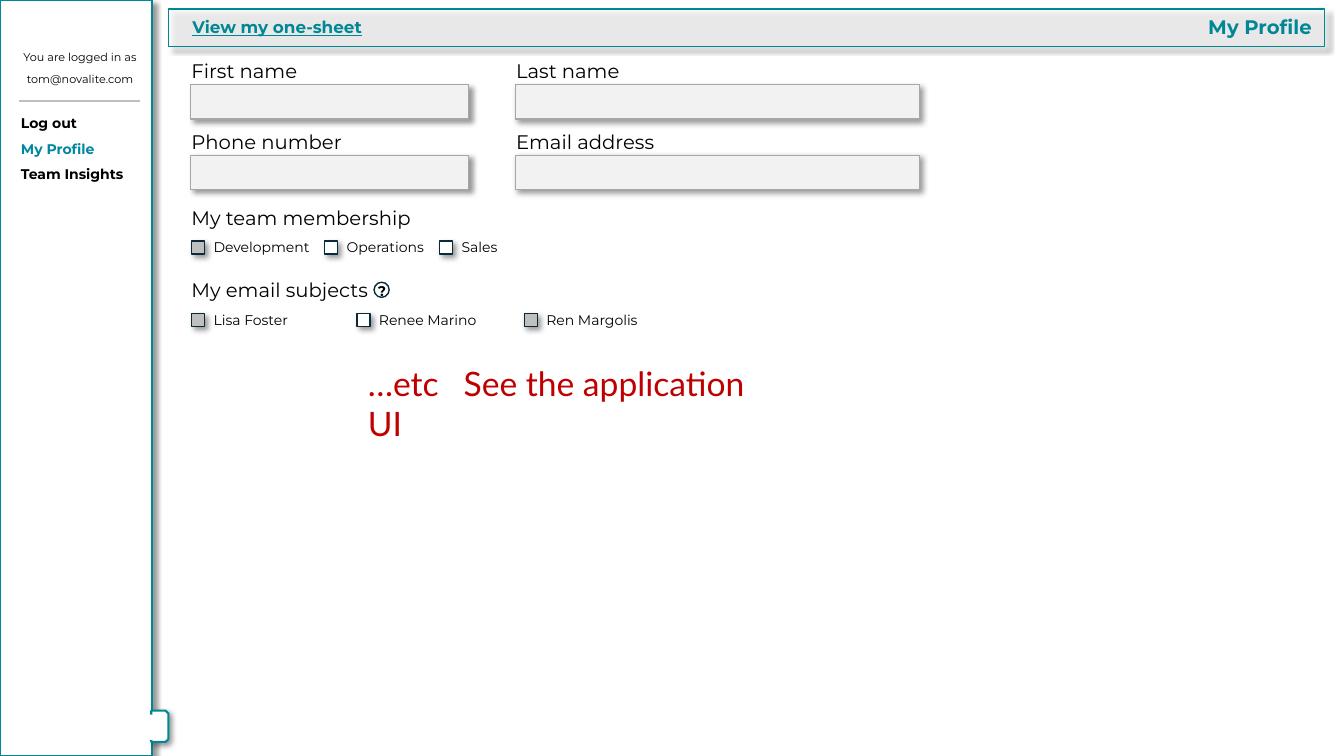
from dataclasses import dataclass

from lxml.etree import SubElement
from pptx import Presentation
from pptx.dml.color import RGBColor
from pptx.enum.shapes import MSO_CONNECTOR, MSO_SHAPE
from pptx.enum.text import MSO_ANCHOR, MSO_AUTO_SIZE, PP_ALIGN
from pptx.oxml.ns import qn
from pptx.util import Inches, Pt

TEAL, NAVY, BLACK, WHITE = "008796", "092A39", "000000", "FFFFFF"
PALE, GREY = "F2F2F2", "BFBFBF"
FONT = "Montserrat"


@dataclass
class Field:
    label: str
    column: int
    row: int


@dataclass
class Check:
    label: str
    x: float
    width: float
    ticked: bool = False


@dataclass
class CheckGroup:
    heading: str
    y: float
    width: float
    checks: list[Check]


COLUMNS = [(1.89, 2.76), (5.11, 4.01)]  # left and width of the fields
FIELDS = [
    Field("First name", 0, 0),
    Field("Last name", 1, 0),
    Field("Phone number", 0, 1),
    Field("Email address", 1, 1),
]
CHECK_GROUPS = [
    CheckGroup("My team membership", 1.99, 2.4, [
        Check("Development", 1.9, 1.17, True),
        Check("Operations", 3.22, 0.98),
        Check("Sales", 4.36, 0.56),
    ]),
    CheckGroup("My email subjects", 2.71, 1.97, [
        Check("Lisa Foster", 1.9, 0.95, True),
        Check("Renee Marino", 3.54, 1.18),
        Check("Ren Margolis", 5.2, 1.12, True),
    ]),
]


def rgb(colour: str) -> RGBColor:
    return RGBColor.from_string(colour)


def add_shadow(shape) -> None:
    effects = shape._element.spPr.find(qn("a:effectLst"))
    shadow = SubElement(effects, qn("a:outerShdw"), blurRad=str(Pt(4)), dist=str(Pt(3)),
                        dir="2700000", algn="tl", rotWithShape="0")
    colour = SubElement(shadow, qn("a:srgbClr"), val=BLACK)
    SubElement(colour, qn("a:alpha"), val="40000")


def add_box(shapes, x: float, y: float, w: float, h: float, fill: str,
            line: str = "", weight: float = 1, shadow: bool = True, kind=MSO_SHAPE.RECTANGLE):
    shape = shapes.add_shape(kind, Inches(x), Inches(y), Inches(w), Inches(h))
    shape.fill.solid()
    shape.fill.fore_color.rgb = rgb(fill)
    if line:
        shape.line.color.rgb = rgb(line)
        shape.line.width = Pt(weight)
    else:
        shape.line.fill.background()
    shape.shadow.inherit = False
    if shadow:
        add_shadow(shape)
    return shape


def write(tf, lines: list[str], size: float, colour: str = BLACK, bold: bool = False,
          align=PP_ALIGN.LEFT, after: float = 0, font: str = FONT, wrap: bool = False) -> None:
    tf.word_wrap = wrap
    tf.auto_size = MSO_AUTO_SIZE.SHAPE_TO_FIT_TEXT
    tf.vertical_anchor = MSO_ANCHOR.TOP
    for i, line in enumerate(lines):
        p = tf.add_paragraph() if i else tf.paragraphs[0]
        p.text = line
        p.alignment = align
        p.space_after = Pt(after)
        p.font.name = font
        p.font.size = Pt(size)
        p.font.bold = bold
        p.font.color.rgb = rgb(colour)


def add_text(shapes, x: float, y: float, w: float, h: float, lines: list[str], size: float,
             **style):
    tf = shapes.add_textbox(Inches(x), Inches(y), Inches(w), Inches(h)).text_frame
    write(tf, lines, size, **style)
    return tf


def add_sidebar(shapes) -> None:
    add_box(shapes, 0, 0, 1.51, 7.5, WHITE, TEAL, 1.5)
    handle = add_box(shapes, 1.43, 7.12, 0.31, 0.17, WHITE, TEAL, 1.5,
                     kind=MSO_SHAPE.SNIP_2_SAME_RECTANGLE)
    handle.rotation = 90
    add_box(shapes, 1.38, 7.09, 0.27, 0.25, WHITE, shadow=False)
    menu = add_text(shapes, 0.11, 1.09, 1.24, 0.77, ["Log out", "My Profile", "Team Insights"],
                    10, bold=True, after=6)
    menu.paragraphs[1].font.color.rgb = rgb("0087A0")
    add_text(shapes, 0.11, 0.45, 1.37, 0.45, ["You are logged in as", "tom@novalite.com"], 8,
             align=PP_ALIGN.CENTER, after=6)
    rule = shapes.add_connector(MSO_CONNECTOR.STRAIGHT, Inches(0.19), Inches(1),
                                Inches(1.39), Inches(1))
    rule.line.color.rgb = rgb(GREY)
    rule.line.width = Pt(1.5)
    SubElement(rule._element.spPr, qn("a:effectLst"))


def add_field(shapes, field: Field) -> None:
    x, w = COLUMNS[field.column]
    y = 0.84 + 0.7 * field.row
    add_text(shapes, x - 0.09, y - 0.3, 1.7, 0.34, [field.label], 14, wrap=True)
    add_box(shapes, x, y, w, 0.34, PALE, "A6A6A6")


def add_check_group(shapes, group: CheckGroup) -> None:
    add_text(shapes, 1.8, group.y, group.width, 0.34, [group.heading], 14)
    for check in group.checks:
        add_box(shapes, check.x, group.y + 0.4, 0.13, 0.13, GREY if check.ticked else WHITE, NAVY)
        add_text(shapes, check.x + 0.12, group.y + 0.33, check.width, 0.27, [check.label], 10)


def add_help_icon(shapes) -> None:
    icon = shapes.add_group_shape().shapes
    add_box(icon, 3.71, 2.8, 0.15, 0.15, WHITE, NAVY, shadow=False, kind=MSO_SHAPE.OVAL)
    add_text(icon, 3.65, 2.75, 0.28, 0.27, ["?"], 10, bold=True)


def add_note(shapes) -> None:
    tf = add_text(shapes, 3.55, 3.55, 4.32, 0.5, ["…etc\tSee the application UI"], 24,
                  colour="C00000", font="Lato", wrap=True)
    props = tf.paragraphs[0]._p.get_or_add_pPr()
    tabs = SubElement(props, qn("a:tabLst"))
    SubElement(tabs, qn("a:tab"), pos=str(Inches(0.95)), algn="l")
    # The schema wants tab stops ahead of the default run properties.
    props.find(qn("a:defRPr")).addprevious(tabs)


def add_header(shapes) -> None:
    bar = add_box(shapes, 1.67, 0.09, 11.47, 0.37, PALE, TEAL)
    colour = bar._element.spPr.find(qn("a:solidFill")).find(qn("a:srgbClr"))
    SubElement(colour, qn("a:alpha"), val="25000")
    title = shapes.title
    title.left, title.top, title.width, title.height = map(Inches, (11.42, 0.1, 1.69, 0.34))
    write(title.text_frame, ["My Profile"], 14, TEAL, True, PP_ALIGN.RIGHT, 6, wrap=True)
    bar._element.addnext(title._element)
    link = add_text(shapes, 1.81, 0.12, 4.13, 0.31, ["View my one-sheet"], 12, colour=TEAL,
                    bold=True, after=6, wrap=True)
    link.paragraphs[0].font.underline = True


def main() -> None:
    prs = Presentation()
    prs.slide_width, prs.slide_height = Inches(13.33), Inches(7.5)
    s = prs.slides.add_slide(prs.slide_layouts[5])
    add_sidebar(s.shapes)
    for field in FIELDS:
        add_field(s.shapes, field)
    for group in CHECK_GROUPS:
        add_check_group(s.shapes, group)
    add_help_icon(s.shapes)
    add_note(s.shapes)
    add_header(s.shapes)
    prs.save("out.pptx")


if __name__ == "__main__":
    main()
